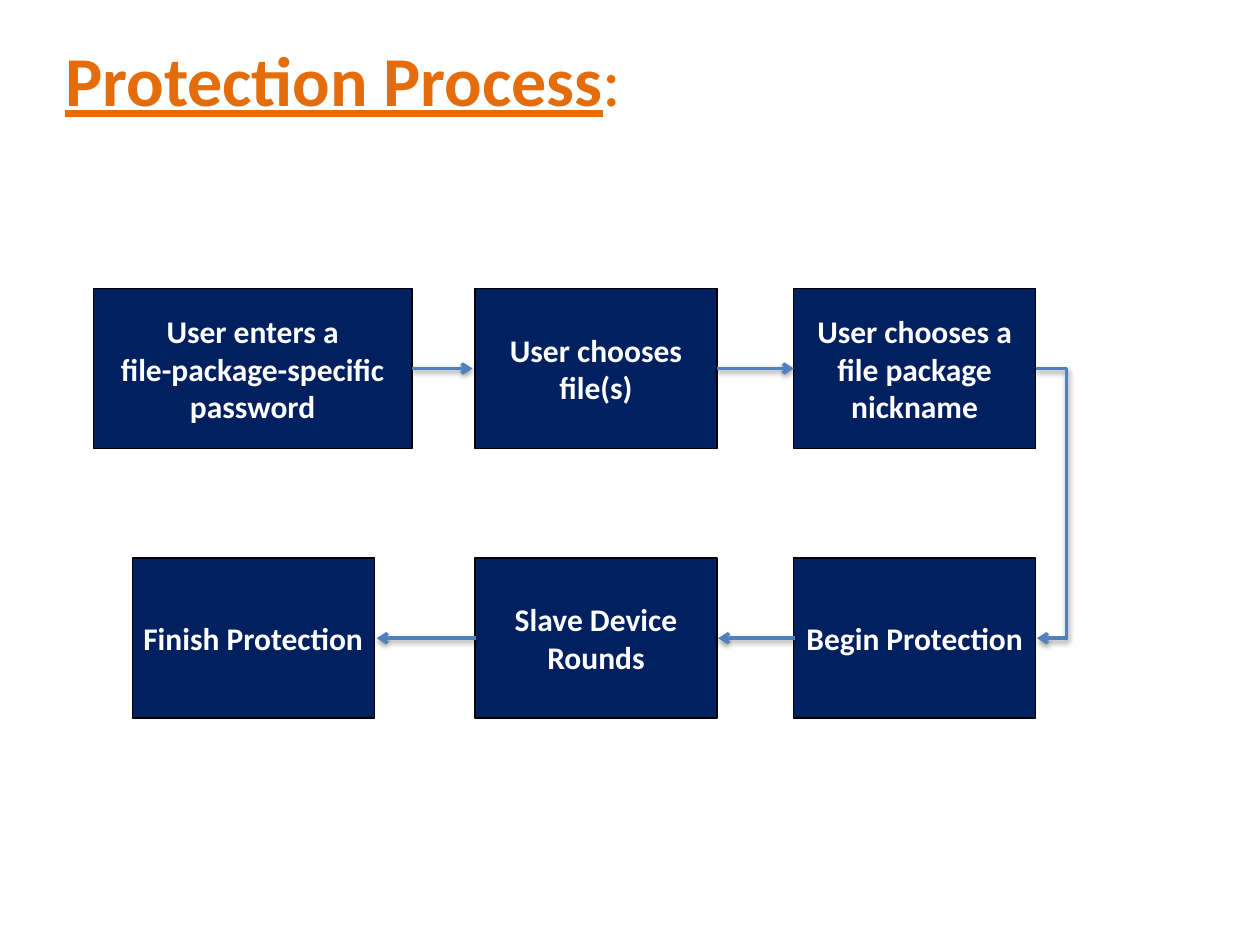
from dataclasses import dataclass

from lxml.etree import SubElement
from pptx import Presentation
from pptx.dml.color import RGBColor
from pptx.enum.shapes import MSO_CONNECTOR, MSO_SHAPE
from pptx.enum.text import MSO_ANCHOR, MSO_AUTO_SIZE, PP_ALIGN
from pptx.oxml import parse_xml
from pptx.oxml.ns import nsdecls, qn
from pptx.util import Inches, Pt


@dataclass(frozen=True)
class Theme:
    """Colours, font and type sizes of the slide."""
    navy: RGBColor = RGBColor(0x00, 0x20, 0x60)
    black: RGBColor = RGBColor(0, 0, 0)
    white: RGBColor = RGBColor(255, 255, 255)
    blue: RGBColor = RGBColor(0x4F, 0x81, 0xBD)
    orange: RGBColor = RGBColor(0xE4, 0x6C, 0x0A)
    font: str = "Calibri"
    head: Pt = Pt(40)
    body: Pt = Pt(18)
    edge: Pt = Pt(0.75)
    stroke: Pt = Pt(2)


THEME = Theme()
SHADOW = (
    f'<a:effectLst {nsdecls("a")}><a:outerShdw blurRad="40000" dist="20000" '
    'dir="5400000" rotWithShape="0"><a:srgbClr val="000000">'
    '<a:alpha val="38000"/></a:srgbClr></a:outerShdw></a:effectLst>'
)
TALL = 1.27
ROWS = (2.29, 4.43)
STEPS = (
    ((0.74, ROWS[0], 2.53, TALL), 2.49, 3,
     ("User enters a", "file-package-specific password")),
    ((3.77, ROWS[0], 1.92, TALL), 1.92, 2, ("User chooses file(s)",)),
    ((6.3, ROWS[0], 1.92, TALL), 2, 3, ("User chooses a file package nickname",)),
    ((6.3, ROWS[1], 1.92, TALL), 2, 1, ("Begin Protection",)),
    ((3.77, ROWS[1], 1.92, TALL), 1.92, 2, ("Slave Device Rounds",)),
    ((1.05, ROWS[1], 1.92, TALL), 2, 1, ("Finish Protection",)),
)


def style(item, **values):
    """Set each given value on the item."""
    for name, value in values.items():
        setattr(item, name, value)


def add_run(para, text, color, **values):
    """Add a run of text in the theme font."""
    run = para.add_run()
    run.text = text
    style(run.font, name=THEME.font, **values)
    run.font.color.rgb = color


def add_title(slide, box):
    """Place the heading in its box."""
    frame = slide.shapes.add_textbox(*map(Inches, box)).text_frame
    style(frame, word_wrap=True, vertical_anchor=MSO_ANCHOR.MIDDLE)
    para = frame.paragraphs[0]
    for text, strong in (("Protection Process", True), (":", False)):
        add_run(para, text, THEME.orange, size=THEME.head,
                bold=strong, underline=strong)


def add_step(slide, box, wide, lines, texts):
    """Place one step with its label centred in the box."""
    shape = slide.shapes.add_shape(MSO_SHAPE.RECTANGLE, *map(Inches, box))
    shape.shadow.inherit = False
    shape.fill.solid()
    shape.fill.fore_color.rgb = THEME.navy
    shape.line.color.rgb = THEME.black
    shape.line.width = THEME.edge

    left, top, width, height = box
    high = 0.1 + 0.3 * lines
    label = (left + (width - wide) / 2, top + (height - high) / 2, wide, high)
    frame = slide.shapes.add_textbox(*map(Inches, label)).text_frame
    style(frame, word_wrap=True, auto_size=MSO_AUTO_SIZE.SHAPE_TO_FIT_TEXT)
    for index, text in enumerate(texts):
        para = frame.add_paragraph() if index else frame.paragraphs[0]
        para.alignment = PP_ALIGN.CENTER
        add_run(para, text, THEME.white, size=THEME.body, bold=True)


def add_arrow(slide, start, end, bend=None):
    """Draw an arrow, bent at a multiple of its width if one is given."""
    kind = MSO_CONNECTOR.ELBOW if bend else MSO_CONNECTOR.STRAIGHT
    arrow = slide.shapes.add_connector(kind, *map(Inches, (*start, *end)))
    arrow.line.color.rgb = THEME.blue
    arrow.line.width = THEME.stroke
    props = arrow.line._get_or_add_ln()
    SubElement(props, qn("a:tailEnd"), type="arrow")
    frame = props.getparent()
    frame.append(parse_xml(SHADOW))
    if bend:
        guides = frame.find(qn("a:prstGeom")).find(qn("a:avLst"))
        SubElement(guides, qn("a:gd"), name="adj1", fmla=f"val {bend * 100000}")


def add_flow(slide, steps):
    """Place the steps and the arrows that join them."""
    for step in steps:
        add_step(slide, *step)
    upper, lower = (top + TALL / 2 for top in ROWS)
    for start, end, level in (
        (3.27, 3.75, upper), (5.69, 6.3, upper),
        (6.31, 5.7, lower), (3.78, 2.99, lower),
    ):
        add_arrow(slide, (start, level), (end, level))
    add_arrow(slide, (8.22, upper), (8.23, lower), bend=25)


def main():
    """Build and save the slide."""
    deck = Presentation()
    style(deck, slide_width=Inches(10), slide_height=Inches(7.5))
    slide = deck.slides.add_slide(deck.slide_layouts[6])
    add_title(slide, (0.42, 0, 9, 1.25))
    add_flow(slide, STEPS)
    deck.save("out.pptx")


if __name__ == "__main__":
    main()
